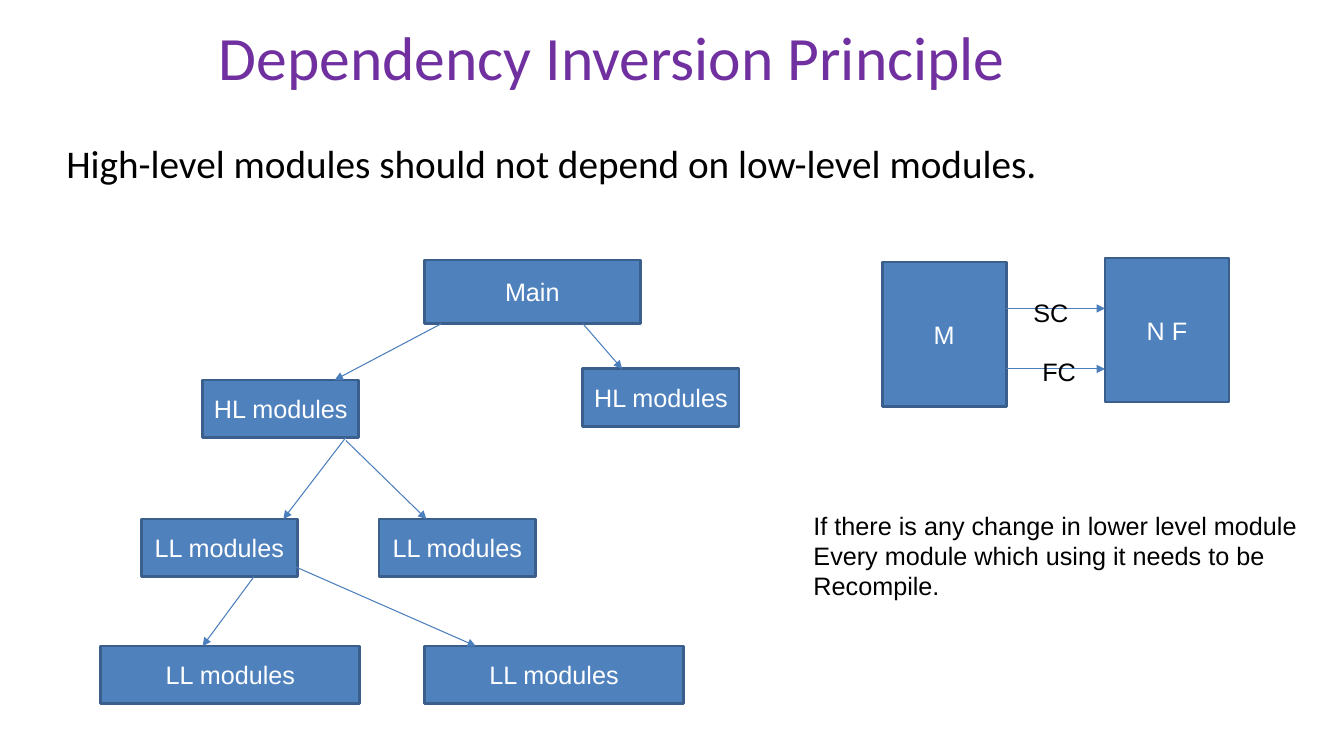
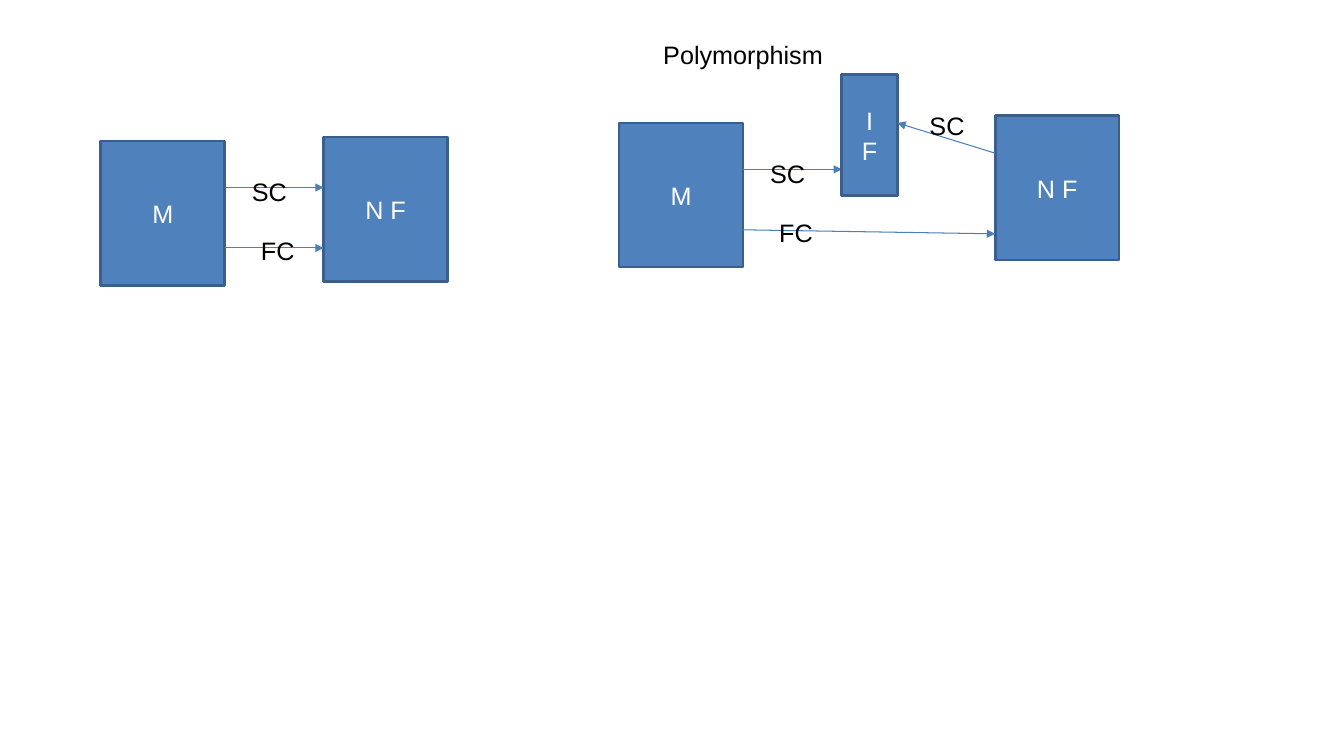
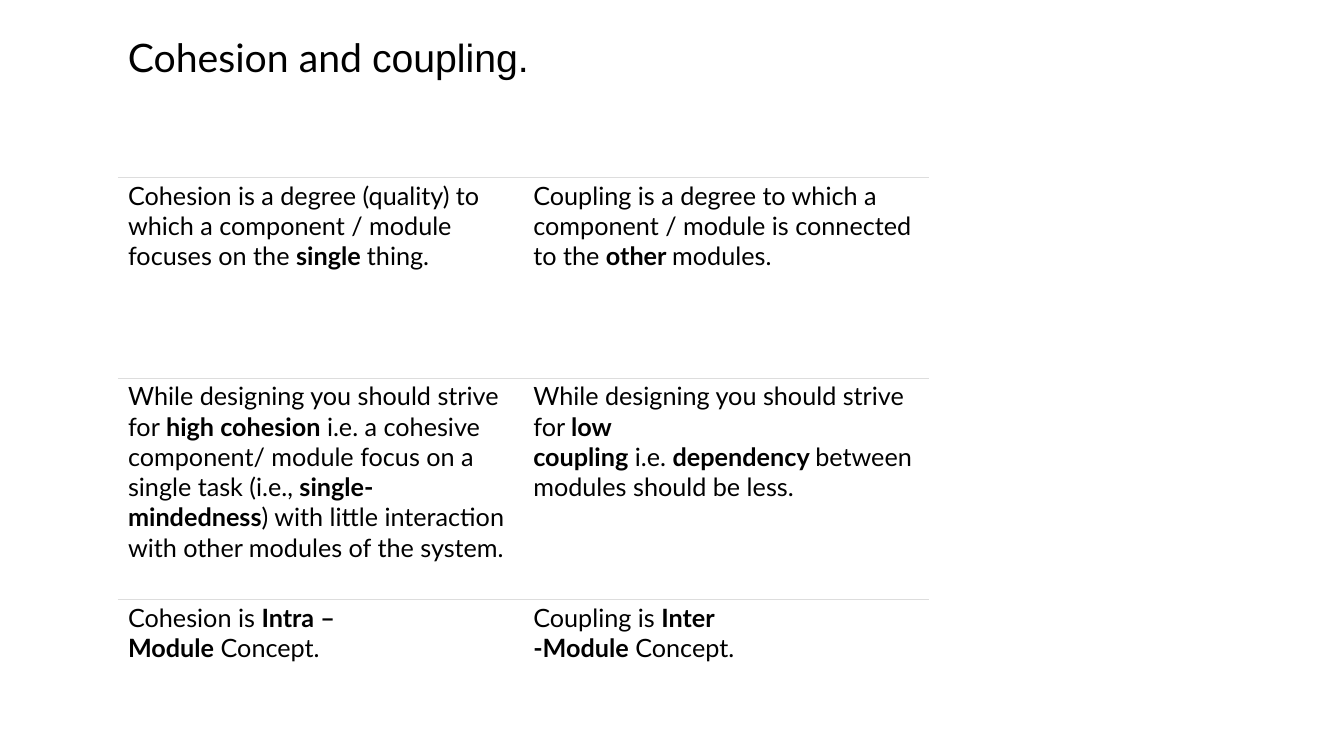
from pptx import Presentation
from pptx import util as u
from pptx.dml.color import RGBColor
from pptx.enum import shapes, text
from pptx.oxml import ns, parse_xml

PX = 9144  # EMU in one px, 100 px to the inch
HUES = {"box": "4F81BD", "edge": "3A5F8C", "arrow": "4B7EBC", "head": "7030A0",
        "ink": "000000", "paper": "FFFFFF", "rule": "DDDDDD"}


def px(*nums):
    return [u.Emu(n * PX) for n in nums]


def hue(name):
    return RGBColor.from_string(HUES[name])


def add_run(par, words, size=18, font="Arial", color="ink", bold=False):
    run = par.add_run()
    run.text = words
    run.font.size = u.Pt(size)
    run.font.name = font
    run.font.bold = bold
    run.font.color.rgb = hue(color)


def fill_lines(frame, lines, align=None, **style):
    for i, line in enumerate(lines):
        par = frame.add_paragraph() if i else frame.paragraphs[0]
        par.alignment = align
        add_run(par, line, **style)


def note(slide, box, *lines, wrap=True, **style):
    frame = slide.shapes.add_textbox(*px(*box)).text_frame
    frame.word_wrap = wrap
    fill_lines(frame, lines, **style)
    return frame


def block(slide, box, *lines):
    rect = slide.shapes.add_shape(shapes.MSO_SHAPE.RECTANGLE, *px(*box))
    rect.shadow.inherit = False
    rect.fill.solid()
    rect.fill.fore_color.rgb = hue("box")
    rect.line.color.rgb = hue("edge")
    rect.line.width = u.Pt(2)
    rect.text_frame.vertical_anchor = text.MSO_ANCHOR.MIDDLE
    fill_lines(rect.text_frame, lines, text.PP_ALIGN.CENTER, color="paper")


def arrow(slide, *ends):
    line = slide.shapes.add_connector(shapes.MSO_CONNECTOR.STRAIGHT, *px(*ends))
    line.line.color.rgb = hue("arrow")
    line.line.width = u.Pt(0.75)
    props = line._element.spPr
    tip = f'<a:tailEnd {ns.nsdecls("a")} type="triangle"/>'
    props.find(ns.qn("a:ln")).append(parse_xml(tip))
    props.append(parse_xml(f'<a:effectLst {ns.nsdecls("a")}/>'))


# Module M calling NF: SC is the source arrow, FC the flow arrow
def calls(slide, x, y, gap=221, rise=4, drop=106):
    block(slide, (x, y, 123, 143), "M")
    block(slide, (x + gap, y - rise, 123, 143), "N F")
    arrow(slide, x + 123, y + 46, x + 221, y + 46)
    arrow(slide, x + 123, y + 106, x + gap, y + drop)
    note(slide, (x + 140, y + 30, 55, 40), "SC", wrap=False)
    note(slide, (x + 149, y + 89, 54, 40), "FC", wrap=False)


# Tree of modules, from the main one down
def tree(slide, x, y):
    high, low = "HL modules", "LL modules"
    for name, dx, dy, wide, tall in (
            ("Main", 321, 0, 214, 63),
            (high, 101, 119, 155, 57), (high, 478, 108, 155, 57),
            (low, 40, 257, 155, 57), (low, 276, 257, 155, 57),
            (low, 0, 383, 257, 57), (low, 321, 383, 257, 57)):
        block(slide, (x + dx, y + dy, wide, tall), name)
    for x1, y1, x2, y2 in (
            (338, 63, 232, 119), (478, 63, 517, 108),
            (243, 176, 181, 257), (243, 179, 323, 257),
            (152, 314, 101, 383), (190, 303, 372, 383)):
        arrow(slide, x + x1, y + y1, x + x2, y + y2)


# Interface between M and NF
def poly(slide, x, y):
    note(slide, (x + 34, y - 88, 340, 40), "Polymorphism")
    calls(slide, x, y, gap=373, rise=7, drop=110)
    block(slide, (x + 221, y - 48, 55, 120), "I", "F")
    arrow(slide, x + 373, y + 30, x + 276, y)
    note(slide, (x + 298, y - 17, 55, 40), "SC", wrap=False)


def edge(cell, side, drawn):
    paint = (f'<a:solidFill><a:srgbClr val="{HUES["rule"]}"/></a:solidFill>'
             if drawn else "<a:noFill/>")
    cell._tc.get_or_add_tcPr().append(parse_xml(
        f'<a:ln{side} {ns.nsdecls("a")} w="9525">{paint}</a:ln{side}>'))


# Table of ruled rows; * switches bold, ~ is a no-break space
def grid(slide, x, y, wide, tall, rows):
    table = slide.shapes.add_table(len(rows), 2, *px(x, y, wide, tall)).table
    table.first_row = table.horz_banding = False
    for r, row in enumerate(rows):
        for c, words in enumerate(row):
            cell = table.cell(r, c)
            cell.margin_top = cell.margin_bottom = u.Emu(3 * PX)
            cell.margin_left = cell.margin_right = u.Emu(10 * PX)
            for side in "LRTB":
                edge(cell, side, side == "T" or side == "B" and r < len(rows) - 1)
            cell.fill.solid()
            cell.fill.fore_color.rgb = hue("paper")
            par = cell.text_frame.paragraphs[0]
            for i, part in enumerate(words.replace("~", chr(160)).split("*")):
                add_run(par, part, font="Lato", bold=i % 2 == 1)


def principle(slide):
    frame = note(slide, (207, 35, 1055, 51), "Dependency Inversion Principle",
                 size=44, font="Calibri", color="head")
    frame.vertical_anchor = text.MSO_ANCHOR.MIDDLE
    frame.paragraphs[0].line_spacing = 0.9
    note(slide, (56, 133, 993, 57),
         "High-level modules should not depend on low-level modules.",
         size=28, font="Calibri")
    tree(slide, 100, 258)
    calls(slide, 875, 260)
    note(slide, (797, 501, 504, 131),
         "If there is any change in lower level module",
         "Every module which using it needs to be", "Recompile.")


def inversion(slide):
    calls(slide, 100, 140)
    poly(slide, 614, 122)


def cohesion(slide):
    frame = note(slide, (117, 28, 758, 104), "Cohesion and ", size=28, font="Lato")
    add_run(frame.paragraphs[0], "coupling.", size=28)
    grid(slide, 117, 176, 804, 398, [
        ("Cohesion is a degree (quality) to which a component / module "
         "focuses on the~*single~*thing.",
         "Coupling is a degree to which a component / module is connected "
         "to the~*other~*modules."),
        ("While designing you should strive for*~high cohesion*~i.e. a cohesive "
         "component/ module focus on a single task (i.e.,*~single-mindedness*) "
         "with little interaction with other modules of the system.",
         "While designing you should strive for~*low coupling*~i.e.~"
         "*dependency~*between modules should be less.")])
    grid(slide, 117, 595, 804, 71, [
        ("Cohesion is~*Intra – Module*~Concept.",
         "Coupling is~*Inter -Module*~Concept.")])


def main():
    deck = Presentation()
    deck.slide_width, deck.slide_height = px(1333, 750)
    for draw in (principle, inversion, cohesion):
        draw(deck.slides.add_slide(deck.slide_layouts[6]))
    deck.save("out.pptx")


if __name__ == "__main__":
    main()
